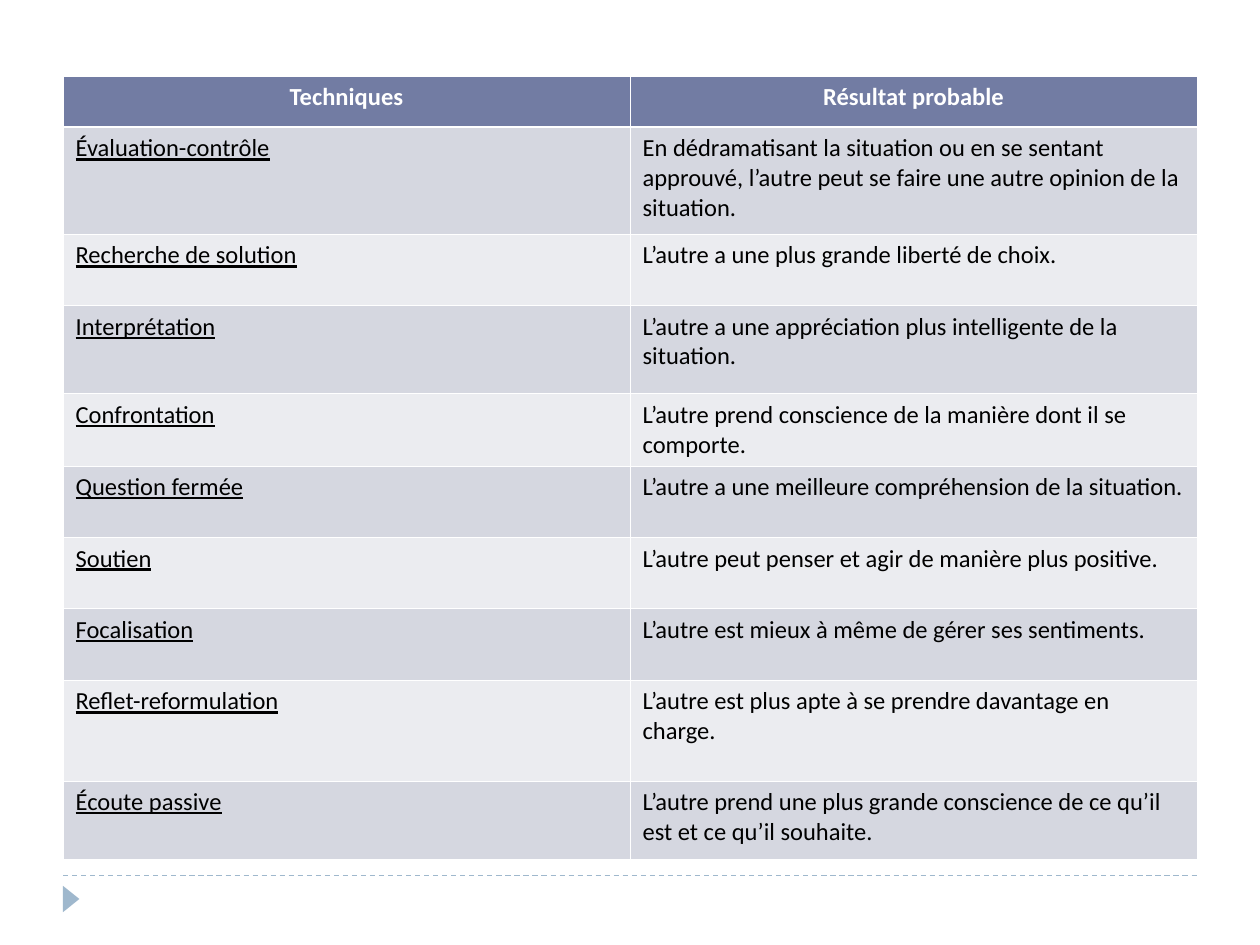
from dataclasses import dataclass

from lxml.etree import SubElement
from pptx import Presentation
from pptx.dml.color import RGBColor
from pptx.enum.dml import MSO_LINE
from pptx.enum.shapes import MSO_CONNECTOR, MSO_SHAPE
from pptx.enum.text import PP_ALIGN
from pptx.oxml.ns import qn
from pptx.util import Pt


@dataclass(frozen=True)
class Theme:
    font: str = "Calibri"
    size: float = 14
    header: str = "727CA3"
    bands: tuple = ("D5D7E0", "EBECF0")
    white: str = "FFFFFF"
    text: str = "000000"
    accent: str = "9FB8CD"
    thin: float = 0.45
    thick: float = 1.47


theme = Theme()
rgb = RGBColor.from_string


def set_border(cell, side, width):
    ln = SubElement(cell._tc.get_or_add_tcPr(), qn(f"a:{side}"), w=str(Pt(width)))
    fill = SubElement(ln, qn("a:solidFill"))
    SubElement(fill, qn("a:srgbClr"), val=theme.white)


# Row height, technique, likely result
rows = [
    (29.2, "Techniques", "Résultat probable"),
    (61.2, "Évaluation-contrôle",
     "En dédramatisant la situation ou en se sentant approuvé, "
     "l’autre peut se faire une autre opinion de la situation."),
    (40.8, "Recherche de solution", "L’autre a une plus grande liberté de choix."),
    (50.4, "Interprétation",
     "L’autre a une appréciation plus intelligente de la situation."),
    (40.8, "Confrontation",
     "L’autre prend conscience de la manière dont il se comporte."),
    (40.8, "Question fermée",
     "L’autre a une meilleure compréhension de la situation."),
    (40.8, "Soutien", "L’autre peut penser et agir de manière plus positive."),
    (40.8, "Focalisation", "L’autre est mieux à même de gérer ses sentiments."),
    (57.6, "Reflet-reformulation",
     "L’autre est plus apte à se prendre davantage en charge."),
    (45, "Écoute passive",
     "L’autre prend une plus grande conscience de ce qu’il est "
     "et ce qu’il souhaite."),
]
left, top, width = 36, 43.4, 648

prs = Presentation()
prs.slide_width, prs.slide_height = Pt(720), Pt(540)
s = prs.slides.add_slide(prs.slide_layouts[6])

# Footer rule
rule = s.shapes.add_connector(
    MSO_CONNECTOR.STRAIGHT, Pt(left), Pt(500.4), Pt(left + width), Pt(500.4))
rule.line.color.rgb = rgb(theme.accent)
rule.line.width = Pt(0.75)
rule.line.dash_style = MSO_LINE.DASH
SubElement(rule._element.spPr, qn("a:effectLst"))

# Footer marker
sp = s.shapes.add_shape(
    MSO_SHAPE.ISOSCELES_TRIANGLE, Pt(33.1), Pt(509), Pt(15.1), Pt(9.4))
sp.rotation = 90
sp.shadow.inherit = False
sp.fill.solid()
sp.fill.fore_color.rgb = rgb(theme.accent)
sp.line.fill.background()

# Table of techniques
table = s.shapes.add_table(
    len(rows), 2, Pt(left), Pt(top), Pt(width), Pt(sum(r[0] for r in rows))).table
for column in table.columns:
    column.width = Pt(width / 2)

for i, (height, *texts) in enumerate(rows):
    table.rows[i].height = Pt(height)
    is_header = i == 0
    borders = {
        "lnL": theme.thin,
        "lnR": theme.thin,
        "lnT": theme.thick if i == 1 else theme.thin,
        "lnB": theme.thick if is_header else theme.thin,
    }
    for j, text in enumerate(texts):
        cell = table.cell(i, j)
        for side, weight in borders.items():
            set_border(cell, side, weight)
        cell.fill.solid()
        cell.fill.fore_color.rgb = rgb(
            theme.header if is_header else theme.bands[(i - 1) % 2])

        p = cell.text_frame.paragraphs[0]
        p.alignment = PP_ALIGN.CENTER if is_header else PP_ALIGN.LEFT
        r = p.add_run()
        r.text = text
        font_format = {
            "name": theme.font,
            "size": Pt(theme.size),
            "bold": is_header,
            "underline": j == 0 and not is_header,
        }
        for name, value in font_format.items():
            setattr(r.font, name, value)
        r.font.color.rgb = rgb(theme.white if is_header else theme.text)

prs.save("out.pptx")
